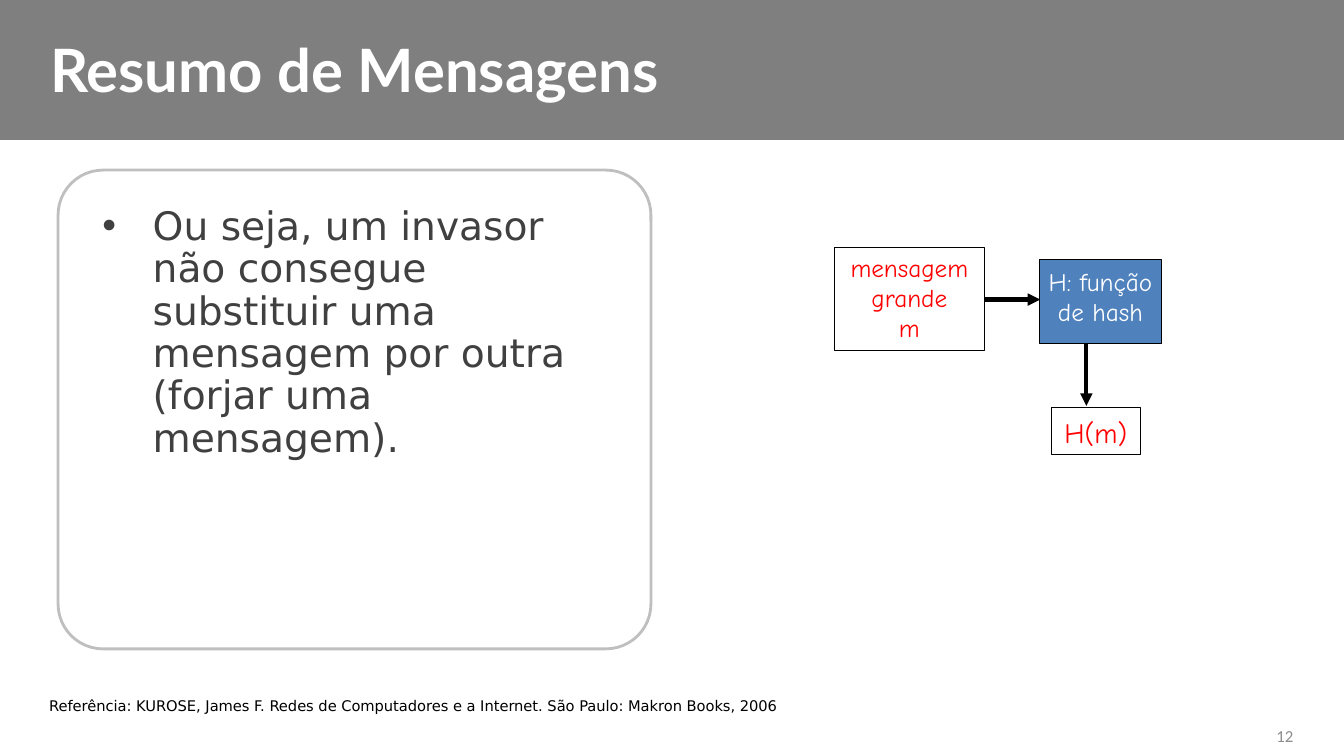
from lxml.etree import SubElement
from pptx import Presentation
from pptx.dml.color import RGBColor
from pptx.enum.shapes import MSO_CONNECTOR as Connector, MSO_SHAPE as Shape
from pptx.enum.text import MSO_ANCHOR as Anchor, PP_ALIGN as Align
from pptx.oxml.ns import qn
from pptx.util import Pt


def color(hex_code):
    return RGBColor.from_string(hex_code)


def write(box, text, font, ink, anchor=Anchor.TOP, align=Align.LEFT, margins=None):
    """Fill a box with text; a vertical tab in the text is a line break."""
    frame = box.text_frame
    frame.word_wrap = True
    frame.vertical_anchor = anchor
    for side, size in (margins or {}).items():
        setattr(frame, f"margin_{side}", Pt(size))
    frame.text = text
    for para in frame.paragraphs:
        para.alignment = align
        for span in para.runs:
            for name, value in font.items():
                setattr(span.font, name, value)
            span.font.color.rgb = color(ink)


deck = Presentation()
deck.slide_width, deck.slide_height = Pt(960), Pt(540)
page = deck.slides.add_slide(deck.slide_layouts[6])

# Header band, content frame and the three boxes of the hash diagram
comic = {"name": "Comic Neue", "size": Pt(18)}
panels = [
    # kind, place, fill, line, line width, text, font, text colour, top margin
    (Shape.RECTANGLE, (0, 0, 960, 100), "7F7F7F", None, 0, "", {}, None, 0),
    (Shape.ROUNDED_RECTANGLE, (41.5, 121.5, 423.5, 342), None, "BFBFBF", 2, "", {}, None, 0),
    (Shape.RECTANGLE, (596, 176.5, 107, 74), "FFFFFF", "000000", 0.75,
     "mensagem\vgrande\nm", comic, "FF0000", 3.6),
    (Shape.RECTANGLE, (742.5, 185.5, 87, 60), "4F81BD", "000000", 0.75,
     "H: função\vde hash", comic, "FFFFFF", 4.5),
    (Shape.RECTANGLE, (751, 291, 63.5, 33.5), "FFFFFF", "000000", 0.75,
     "H(m)", comic | {"size": Pt(20)}, "FF0000", 5.5),
]
for kind, place, fill, line, width, text, font, ink, top in panels:
    panel = page.shapes.add_shape(kind, *map(Pt, place))
    panel.shadow.inherit = False
    if kind == Shape.ROUNDED_RECTANGLE:
        panel.adjustments[0] = 0.094
    if fill:
        panel.fill.solid()
        panel.fill.fore_color.rgb = color(fill)
    else:
        panel.fill.background()
    if line:
        panel.line.color.rgb = color(line)
        panel.line.width = Pt(width)
    else:
        panel.line.fill.background()
    if text:
        write(panel, text, font, ink, align=Align.CENTER,
              margins={"left": 0, "right": 0, "top": top, "bottom": 0})

# Arrows: message to hash function, hash function to digest
for ends in [(703.5, 214, 743, 214), (776, 246, 776, 290)]:
    arrow = page.shapes.add_connector(Connector.STRAIGHT, *map(Pt, ends))
    arrow.line.color.rgb = color("000000")
    arrow.line.width = Pt(3)
    SubElement(arrow.line._get_or_add_ln(), qn("a:tailEnd"), type="triangle")
    SubElement(arrow._element.spPr, qn("a:effectLst"))

title = page.shapes.add_textbox(Pt(0), Pt(20), Pt(960), Pt(68))
write(title, "Resumo de Mensagens", {"name": "Lato", "size": Pt(42.7), "bold": True},
      "FFFFFF", margins={"left": 36})

body = page.shapes.add_textbox(Pt(66), Pt(144), Pt(377.5), Pt(314))
write(body, "Ou seja, um invasor não consegue substituir uma mensagem por outra "
      "(forjar uma mensagem).", {"name": "DejaVu Sans", "size": Pt(28)}, "404040")
point = body.text_frame.paragraphs[0]
point.line_spacing = 0.9
bullet_format = point._p.get_or_add_pPr()
bullet_format.set("marL", str(Pt(36)))
bullet_format.set("indent", str(-Pt(36)))
SubElement(bullet_format, qn("a:buFont"), typeface="Arial")
SubElement(bullet_format, qn("a:buChar"), char="•")

number = page.shapes.add_textbox(Pt(715), Pt(511.5), Pt(216), Pt(28.5))
write(number, "12", {"name": "Calibri", "size": Pt(12)}, "8C8C8C",
      anchor=Anchor.MIDDLE, align=Align.RIGHT)

reference = page.shapes.add_textbox(Pt(28), Pt(494), Pt(564), Pt(20))
write(reference, "Referência: KUROSE, James F. Redes de Computadores e a Internet. "
      "São Paulo: Makron Books, 2006", {"name": "DejaVu Sans", "size": Pt(10.5)}, "000000")

deck.save("out.pptx")
